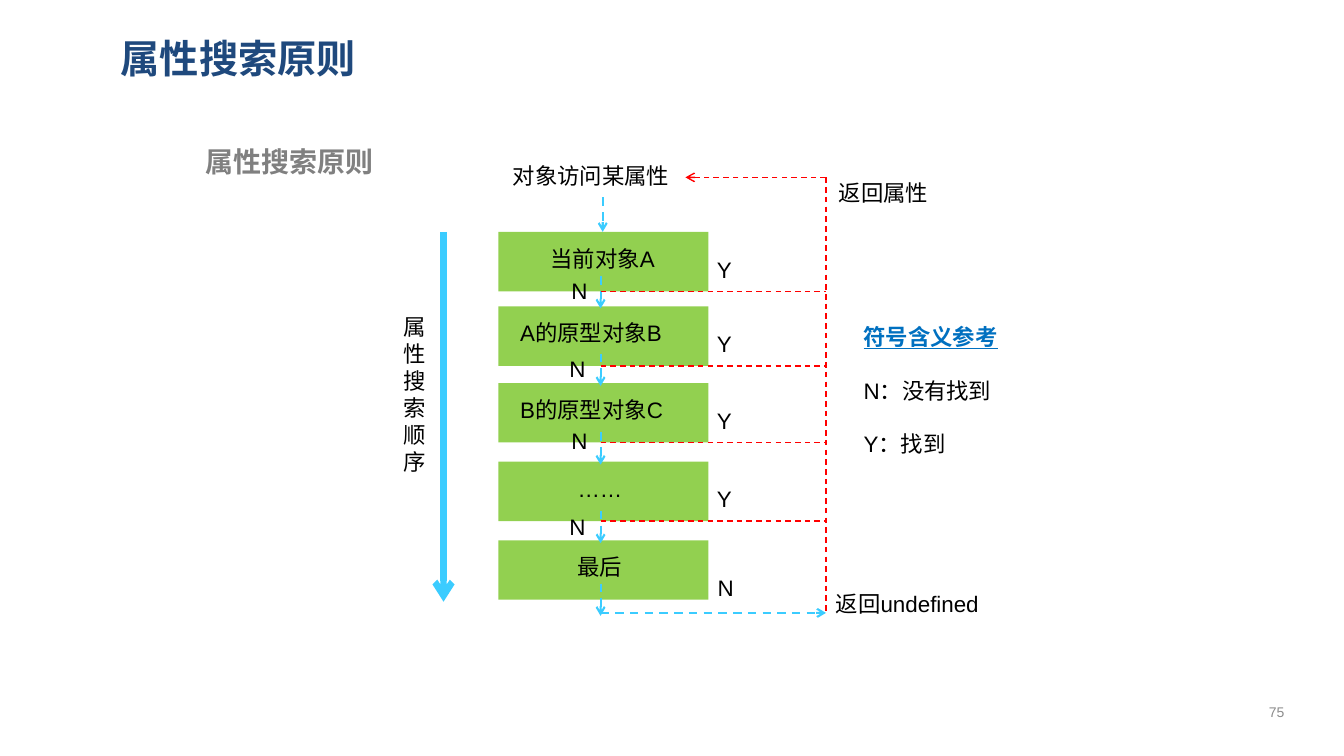
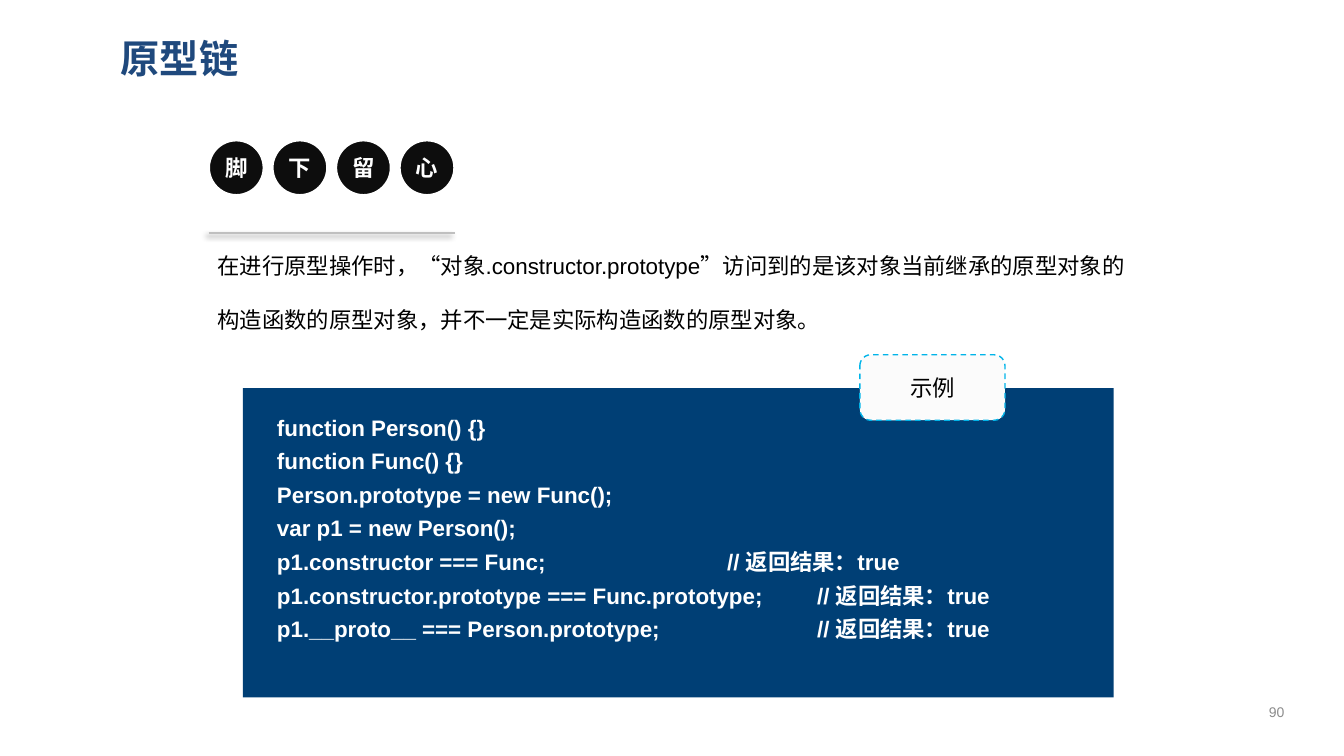
import pptx
import pptx.dml.color
import pptx.enum.dml
import pptx.enum.shapes
import pptx.enum.text
import pptx.oxml
import pptx.oxml.ns
import pptx.util
from lxml import etree

Pt = pptx.util.Pt
SHAPE = pptx.enum.shapes.MSO_SHAPE
LEFT = pptx.enum.text.PP_ALIGN.LEFT
CENTER = pptx.enum.text.PP_ALIGN.CENTER
TOP = pptx.enum.text.MSO_ANCHOR.TOP
MIDDLE = pptx.enum.text.MSO_ANCHOR.MIDDLE
qn = pptx.oxml.ns.qn

LATIN, CJK = "Arial", "Noto Sans CJK SC"
BLACK, WHITE, NAVY, GREY = "000000", "FFFFFF", "1F497D", "808080"
GREEN, SKY, RED, LINK = "92D050", "3BCCFF", "FF0000", "0070C0"
CODE_BLUE, INK, SILVER, PAGE_GREY = "003F75", "0D0D0D", "BFBFBF", "8C8C8C"
TAG_FILL, TAG_EDGE = "FBFBFB", "00B4E9"
TAB_STEP = 64.3

STEP_LEFT, STEP_WIDTH, STEP_HEIGHT = 356, 150, 42.5
FLOW_X, RETURN_X = 429, 590
STEPS = [
    ("当前对象A", 165.6, 132, CENTER),
    ("A的原型对象B", 218.9, 130, LEFT),
    ("B的原型对象C", 273.6, 130, LEFT),
    ("……", 329.8, 128, CENTER),
    ("最后", 385.9, 128, CENTER),
]
ARROW_TOPS = [197.3, 252.7, 308.9, 365, 416.9]
MISS_LABELS = [(401, 194.4), (399.6, 249.8), (401, 301.7), (399.6, 362.9)]

CODE = [
    "function Person() {}",
    "function Func() {}",
    "Person.prototype = new Func();",
    "var p1 = new Person();",
    "p1.constructor === Func;\t\t\t// 返回结果：true",
    "p1.constructor.prototype === Func.prototype;\t// 返回结果：true",
    "p1.__proto__ === Person.prototype;\t\t// 返回结果：true",
]


def rgb(code):
    """Turn a hex string into a colour."""
    return pptx.dml.color.RGBColor.from_string(code)


def style_paragraph(paragraph, size=16, color=BLACK, bold=False, underline=False,
                    font=LATIN, align=LEFT, spacing=None):
    """Format a paragraph and all its runs."""
    paragraph.alignment = align
    if spacing:
        paragraph.line_spacing = spacing
    for run in paragraph.runs:
        run.font.size = Pt(size)
        run.font.bold = bold
        run.font.underline = underline
        run.font.name = font
        run.font.color.rgb = rgb(color)
        east_asian = etree.SubElement(run.font._element, qn("a:ea"))
        east_asian.set("typeface", CJK)


def add_label(slide, text, left, top, width=30, height=28.8, anchor=TOP, **style):
    """Add a text box whose lines share one style."""
    label = slide.shapes.add_textbox(Pt(left), Pt(top), Pt(width), Pt(height))
    frame = label.text_frame
    frame.word_wrap = True
    frame.vertical_anchor = anchor
    frame.text = text
    for paragraph in frame.paragraphs:
        style_paragraph(paragraph, **style)
    return frame


def add_panel(slide, kind, left, top, width, height, fill, text="", edge=None,
              edge_width=1, dashed=False, **style):
    """Add a filled preset shape with optional outline and centred text."""
    panel = slide.shapes.add_shape(kind, Pt(left), Pt(top), Pt(width), Pt(height))
    panel.shadow.inherit = False
    panel.fill.solid()
    panel.fill.fore_color.rgb = rgb(fill)
    if edge:
        panel.line.color.rgb = rgb(edge)
        panel.line.width = Pt(edge_width)
        if dashed:
            panel.line.dash_style = pptx.enum.dml.MSO_LINE.DASH
    else:
        panel.line.fill.background()
    if text:
        frame = panel.text_frame
        frame.margin_left = frame.margin_right = 0
        frame.margin_top = frame.margin_bottom = 0
        frame.vertical_anchor = MIDDLE
        frame.text = text
        style_paragraph(frame.paragraphs[0], align=CENTER, **style)


def add_line(slide, start, end, color, width=1.0, dashed=True, arrow=False):
    """Add a straight line and return its empty effect list."""
    line = slide.shapes.add_connector(
        pptx.enum.shapes.MSO_CONNECTOR.STRAIGHT,
        *[Pt(value) for value in (*start, *end)])
    line.line.color.rgb = rgb(color)
    line.line.width = Pt(width)
    if dashed:
        line.line.dash_style = pptx.enum.dml.MSO_LINE.DASH
    if arrow:
        tip = etree.SubElement(line.line._get_or_add_ln(), qn("a:tailEnd"))
        tip.set("type", "arrow")
    return etree.SubElement(line._element.spPr, qn("a:effectLst"))


def add_shadow(effects):
    """Put a soft shadow to the lower left into an effect list."""
    effects.append(pptx.oxml.parse_xml(
        f'<a:outerShdw {pptx.oxml.ns.nsdecls("a")} blurRad="{Pt(4)}" dist="{Pt(3)}" '
        'dir="8100000" algn="tr" rotWithShape="0"><a:srgbClr val="000000">'
        '<a:alpha val="40000"/></a:srgbClr></a:outerShdw>'))


def add_tab_stops(paragraph, count=6):
    """Set evenly spaced tab stops."""
    stops = etree.SubElement(paragraph._p.get_or_add_pPr(), qn("a:tabLst"))
    for index in range(1, count + 1):
        stop = etree.SubElement(stops, qn("a:tab"))
        stop.set("pos", str(Pt(TAB_STEP * index)))
        stop.set("algn", "l")


def add_slide(deck, title, number):
    """Add a blank slide with its title and page number."""
    slide = deck.slides.add_slide(deck.slide_layouts[6])
    add_label(slide, title, 79.2, 17.3, 839, 48.2, MIDDLE,
              size=28, color=NAVY, bold=True, font=CJK)
    add_label(slide, number, 888.5, 494, 46.8, 28.8, MIDDLE,
              size=10, color=PAGE_GREY, align=CENTER)
    return slide


def add_search_flow(slide):
    """Draw the search steps with their found and not-found exits."""
    for text, top, width, align in STEPS:
        add_panel(slide, SHAPE.RECTANGLE, STEP_LEFT, top, STEP_WIDTH, STEP_HEIGHT, GREEN)
        add_label(slide, text, STEP_LEFT + 8.5, top + 5.8, width, align=align)
    add_line(slide, (430.5, 141), (430.5, 165.6), SKY, 1.5, arrow=True)
    for arrow_top in ARROW_TOPS:
        add_line(slide, (FLOW_X, arrow_top), (FLOW_X, arrow_top + 23), SKY, 1.5, arrow=True)
    for (_, top, _, _), (miss_left, miss_top) in zip(STEPS, MISS_LABELS):
        exit_y = top + STEP_HEIGHT
        add_line(slide, (FLOW_X, exit_y), (RETURN_X, exit_y), RED)
        add_label(slide, "N", miss_left, miss_top)
        add_label(slide, "Y", 505, top + 13.5)
    add_label(slide, "N", 505.5, 406.8)
    add_line(slide, (FLOW_X, 437.8), (RETURN_X, 437.8), SKY, 1.5, arrow=True)
    add_line(slide, (RETURN_X, 126.7), (RETURN_X, 437.8), RED)
    add_line(slide, (RETURN_X, 126.7), (489.6, 126.7), RED, arrow=True)


def build_search_slide(deck):
    """Build the slide on how a property is looked up."""
    slide = add_slide(deck, "属性搜索原则", "75")
    add_label(slide, "属性搜索原则", 139.7, 100, 664, 31.7,
              size=20, color=GREY, bold=True, font=CJK)
    add_search_flow(slide)
    add_label(slide, "对象访问某属性", 359.3, 112.3, 142)
    add_label(slide, "返回属性", 592, 124.6, 87)
    add_label(slide, "返回undefined", 590, 418.3, 130)
    add_line(slide, (316.8, 165.6), (316.8, 429.8), SKY, 4.5, dashed=False, arrow=True)
    add_label(slide, "属性搜索顺序", 281.5, 220.3, 24.5, 138.2)
    legend = add_label(slide, "符号含义参考\nN：没有找到\nY：找到", 609.8, 208, 124.6, 131,
                       spacing=2)
    heading = legend.paragraphs[0].runs[0].font
    heading.bold = heading.underline = True
    heading.color.rgb = rgb(LINK)


def build_chain_slide(deck):
    """Build the slide with the warning and the code example."""
    slide = add_slide(deck, "原型链", "90")
    for index, character in enumerate("脚下留心"):
        add_panel(slide, SHAPE.OVAL, 149 + 45.4 * index, 100, 39.6, 39.6, INK, character,
                  edge=WHITE, edge_width=2, color=WHITE, bold=True, font=CJK)
    add_shadow(add_line(slide, (149, 166.3), (324.7, 166.3), SILVER, 1.5, dashed=False))
    add_label(slide, "在进行原型操作时，“对象.constructor.prototype”访问到的是该对象当前继承的"
              "原型对象的构造函数的原型对象，并不一定是实际构造函数的原型对象。",
              148.3, 157.7, 677.5, 87.8, spacing=2)
    add_panel(slide, SHAPE.RECTANGLE, 173.5, 277.2, 622, 221, CODE_BLUE)
    code = add_label(slide, "\n".join(CODE), 190.8, 287.3, 604, 198,
                     color=WHITE, bold=True, spacing=1.25)
    for paragraph in code.paragraphs:
        add_tab_stops(paragraph)
    add_panel(slide, SHAPE.ROUNDED_RECTANGLE, 614.2, 253.4, 103.7, 46.8, TAG_FILL, "示例",
              edge=TAG_EDGE, dashed=True)


def main():
    """Build both slides and save the deck."""
    deck = pptx.Presentation()
    deck.slide_width, deck.slide_height = Pt(960), Pt(540)
    build_search_slide(deck)
    build_chain_slide(deck)
    deck.save("out.pptx")


if __name__ == "__main__":
    main()
